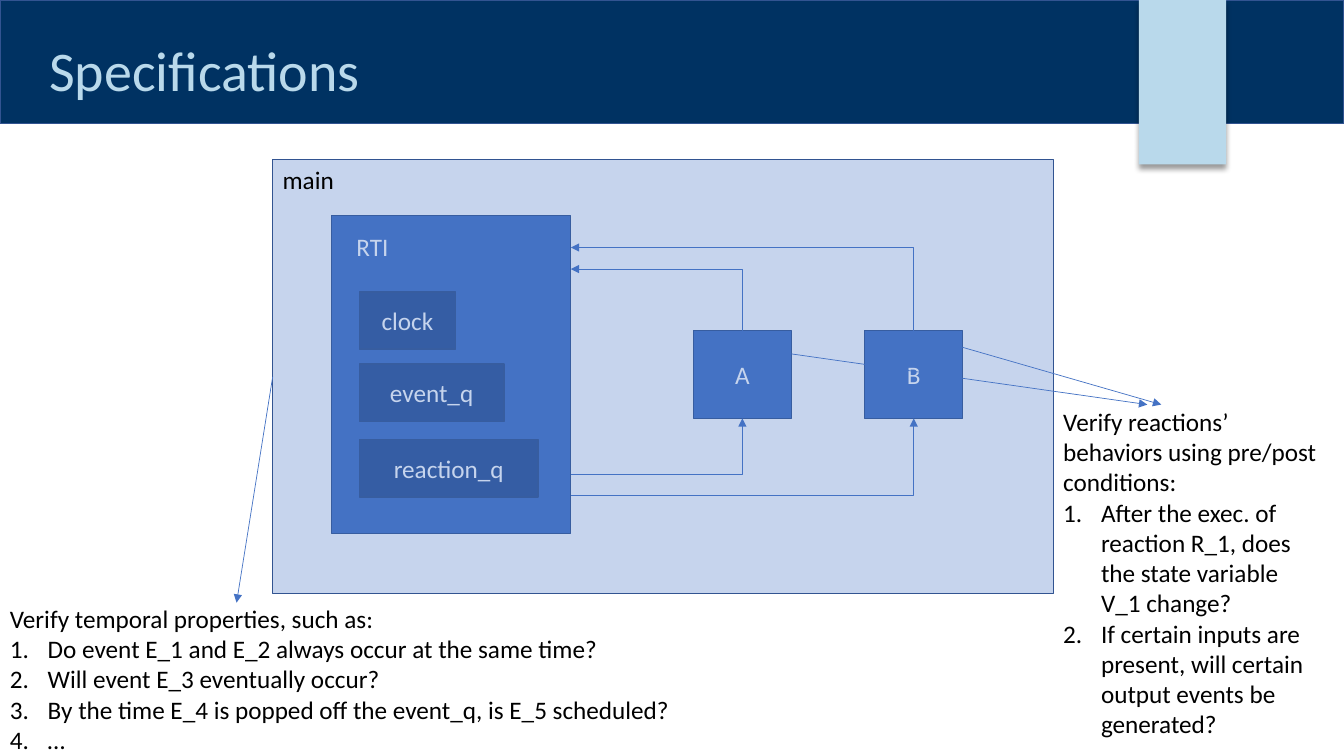
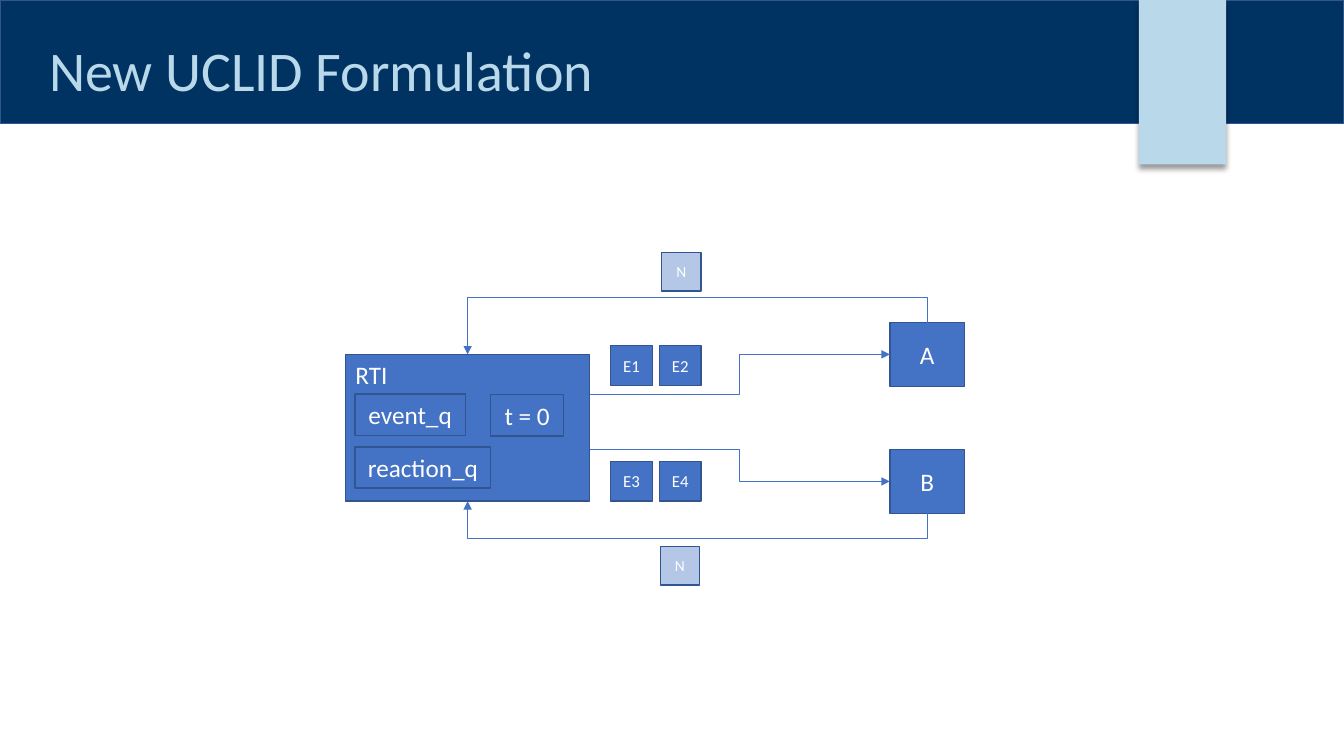
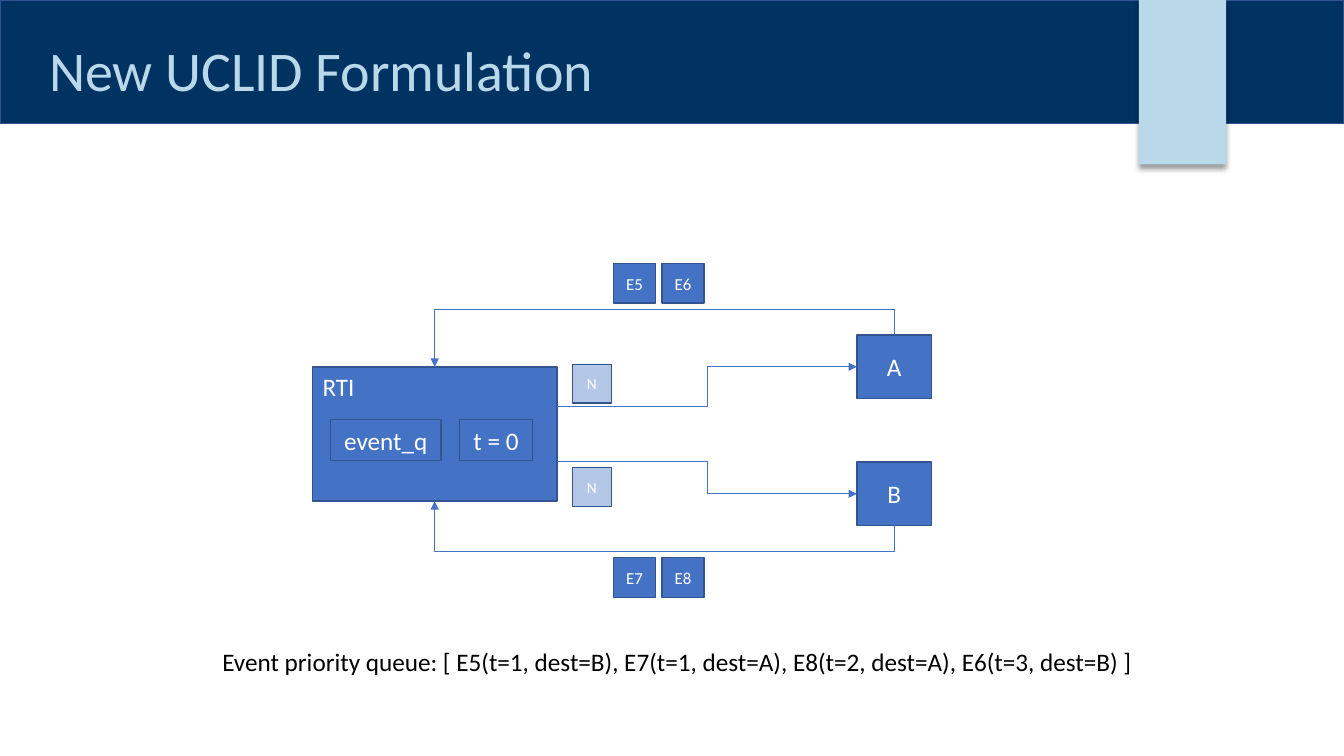
from lxml.etree import SubElement
from pptx import Presentation
from pptx.dml.color import RGBColor
from pptx.enum.shapes import MSO_CONNECTOR as Connector, MSO_SHAPE as Shape
from pptx.enum.text import MSO_ANCHOR as Anchor, MSO_AUTO_SIZE as AutoSize, PP_ALIGN as Align
from pptx.oxml.ns import qn
from pptx.util import Pt

rgb = RGBColor.from_string
NAVY, SKY, BLUE, DARK, PALE, EDGE = "003262", "B9D9EB", "4472C4", "2F5597", "B4C7E7", "325491"
WHITE, BLACK = "FFFFFF", "000000"


def add_box(slide, text, at, fill=None, size=18, color=WHITE, edge=EDGE, wrap=True):
    place = [Pt(value) for value in at]
    if fill:
        shape = slide.shapes.add_shape(Shape.RECTANGLE, *place)
        shape.shadow.inherit = False
        shape.fill.solid()
        shape.fill.fore_color.rgb = rgb(fill)
        shape.line.fill.background()
        if edge:
            shape.line.color.rgb = rgb(edge)
            shape.line.width = Pt(1)
    else:
        shape = slide.shapes.add_textbox(*place)
    frame = shape.text_frame
    frame.word_wrap = wrap
    frame.vertical_anchor = Anchor.MIDDLE if fill else Anchor.TOP
    frame.text = text
    for index, paragraph in enumerate(frame.paragraphs):
        paragraph.alignment = Align.CENTER if fill else Align.LEFT
        for name, value in {"name": "Calibri", "size": Pt(size)}.items():
            setattr(paragraph.font, name, value)
        paragraph.font.color.rgb = rgb(color)
        if index:
            properties = paragraph._p.get_or_add_pPr()
            properties.set("marL", str(Pt(27)))
            properties.set("indent", str(Pt(-27)))
            number = properties.makeelement(qn("a:buAutoNum"), {"type": "arabicPeriod"})
            properties.insert(0, number)
    return shape


def add_arrow(slide, begin, end, preset="line", head="tailEnd", turn=0, bend=0.5):
    kind = Connector.STRAIGHT if preset == "line" else Connector.ELBOW
    arrow = slide.shapes.add_connector(kind, *[Pt(value) for value in (*begin, *end)])
    arrow.line.color.rgb = rgb(BLUE)
    arrow.line.width = Pt(0.5)
    properties = arrow._element.spPr
    SubElement(properties.find(qn("a:ln")), qn(f"a:{head}"), type="triangle")
    SubElement(properties, qn("a:effectLst"))
    geometry = properties.find(qn("a:prstGeom"))
    geometry.set("prst", preset)
    if preset == "bentConnector3":
        adjust = geometry.find(qn("a:avLst"))
        SubElement(adjust, qn("a:gd"), name="adj1", fmla=f"val {round(bend * 100000)}")
    if turn:
        properties.find(qn("a:xfrm")).set("rot", str(turn * 60000))
    return arrow


presentation = Presentation()
presentation.slide_width, presentation.slide_height = Pt(960), Pt(540)
layout = presentation.slide_layouts[5]
title_place = {"left": Pt(28), "top": Pt(10.8), "width": Pt(757), "height": Pt(67)}

slides = []
for title_text in ["Specifications", "New UCLID Formulation", "New UCLID Formulation"]:
    slide = presentation.slides.add_slide(layout)
    title = slide.shapes.title
    for name, value in title_place.items():
        setattr(title, name, value)
    title.text = title_text
    frame = title.text_frame
    for name, value in {"vertical_anchor": Anchor.BOTTOM, "word_wrap": True, "auto_size": AutoSize.NONE}.items():
        setattr(frame, name, value)
    paragraph = frame.paragraphs[0]
    for name, value in {"alignment": Align.LEFT, "line_spacing": 0.9}.items():
        setattr(paragraph, name, value)
    font = paragraph.runs[0].font
    for name, value in {"name": "Calibri", "size": Pt(40)}.items():
        setattr(font, name, value)
    font.color.rgb = rgb(SKY)
    slides.append(slide)

band = add_box(slides[0], "", (0, 0, 960, 88.3), NAVY)
ribbon = add_box(slides[0], "", (813.5, 0, 62.3, 117.5), SKY, edge=None)
shadow = SubElement(ribbon._element.spPr.find(qn("a:effectLst")), qn("a:outerShdw"),
                    blurRad=str(Pt(4)), dist=str(Pt(3)), dir="5400000", algn="t", rotWithShape="0")
shadow_color = SubElement(shadow, qn("a:srgbClr"), val=BLACK)
SubElement(shadow_color, qn("a:alpha"), val="40000")
for index, shape in enumerate([band, ribbon]):
    layout.shapes._spTree.insert(2 + index, shape._element)

slide = slides[0]
rti_right, reactor_top, reactor_width, reactor_height = 407.7, 236.3, 70, 62.6
add_box(slide, "", (236.7, 154, 171, 227), BLUE)
add_box(slide, "RTI", (247.5, 162, 50, 40), wrap=False)
for text, top, width in [("clock", 208.5, 68.7), ("event_q", 260, 103.3), ("reaction_q", 314, 127.7)]:
    add_box(slide, text, (256.7, top, width, 41), DARK)
for text, left, upper, lower in [("A", 495.3, 192.2, 338.8), ("B", 617.7, 176.8, 354)]:
    add_box(slide, text, (left, reactor_top, reactor_width, reactor_height), BLUE)
    center = left + reactor_width / 2
    add_arrow(slide, (rti_right, upper), (center, reactor_top), "bentConnector2", "headEnd")
    add_arrow(slide, (rti_right, lower), (center, reactor_top + reactor_height), "bentConnector2")

main = add_box(slide, "", (194.8, 114, 557.6, 310), BLUE)
SubElement(main._element.spPr.find(".//" + qn("a:srgbClr")), qn("a:alpha"), val="30000")
add_box(slide, "main", (194.8, 114, 52, 29), color=BLACK, wrap=False)
add_arrow(slide, (686.5, 247.8), (829.5, 289))
add_arrow(slide, (565.3, 252.8), (819.5, 289))
temporal_arrow = add_arrow(slide, (194.8, 269), (169, 430.5))
temporal_arrow.begin_connect(main, 1)
reaction_checks = [
    "Verify reactions’ behaviors using pre/post conditions:",
    "After the exec. of reaction R_1, does the state variable V_1 change?",
    "If certain inputs are present, will certain output events be generated?",
]
temporal_checks = [
    "Verify temporal properties, such as:",
    "Do event E_1 and E_2 always occur at the same time?",
    "Will event E_3 eventually occur?",
    "By the time E_4 is popped off the event_q, is E_5 scheduled?",
    "…",
]
add_box(slide, "\n".join(reaction_checks), (752.4, 286.7, 199, 247), color=BLACK)
add_box(slide, "\n".join(temporal_checks), (0, 427.3, 492, 116.4), color=BLACK, wrap=False)

formulations = [
    (slides[1], 246.8, 253.2,
     [("event_q", 253.6, 281.5, 78.8), ("t = 0", 350.5, 282, 52.2), ("reaction_q", 253.6, 319.2, 97)],
     [("E1", 436.2, 247), ("E2", 471, 247), ("E3", 436.2, 329.5), ("E4", 471, 329.5)],
     [(472.7, 180.2), (471.7, 390.2)]),
    (slides[2], 223.3, 262,
     [("event_q", 236.2, 299.5, 78.8), ("t = 0", 328.2, 299.5, 52.2)],
     [("E5", 438.3, 188.2), ("E6", 473, 188.2), ("E7", 438.3, 398.3), ("E8", 473, 398.3)],
     [(408.8, 260.3), (408.8, 334)]),
]
rti_width, rti_bottom, side_width, side_height, clearance = 174.5, 358, 53.3, 45.6, 18
for slide, left, top, parts, events, empties in formulations:
    add_box(slide, "", (left, top, rti_width, rti_bottom - top), BLUE)
    add_box(slide, "RTI", (left, top, 37.5, 29), wrap=False)
    right, rti_center, side_left = left + rti_width, left + rti_width / 2, left + 388.8
    side_center = side_left + side_width / 2
    middle, half_span = (rti_center + side_center) / 2, (side_center - rti_center) / 2
    for text, side_top, exit_y, outer_y, rti_y, turn in [
        ("A", top - side_height / 2, top + 28.3, top - side_height / 2, top, 270),
        ("B", top + 67.9, top + 67.9, top + 67.9 + side_height, rti_bottom, 90),
    ]:
        add_box(slide, text, (side_left, side_top, side_width, side_height), BLUE)
        add_arrow(slide, (right, exit_y), (side_left, side_top + side_height / 2), "bentConnector3")
        center_y, depth = (outer_y + rti_y) / 2, abs(rti_y - outer_y)
        rise = half_span if turn == 270 else -half_span
        add_arrow(slide, (middle + depth / 2, center_y + rise), (middle - depth / 2, center_y - rise),
                  "bentConnector3", turn=turn, bend=-clearance / depth)
    for text, part_left, part_top, width in parts:
        add_box(slide, text, (part_left, part_top, width, 29.5), BLUE)
    for text, event_left, event_top in events:
        add_box(slide, text, (event_left, event_top, 29.8, 28.4), BLUE, 12)
    for empty_left, empty_top in empties:
        add_box(slide, "N", (empty_left, empty_top, 28, 27.7), PALE, 11)

add_box(slides[2], "Event priority queue: [ E5(t=1, dest=B), E7(t=1, dest=A), E8(t=2, dest=A), E6(t=3, dest=B) ]",
        (151.7, 458, 672.5, 29), color=BLACK, wrap=False)

presentation.save("out.pptx")
